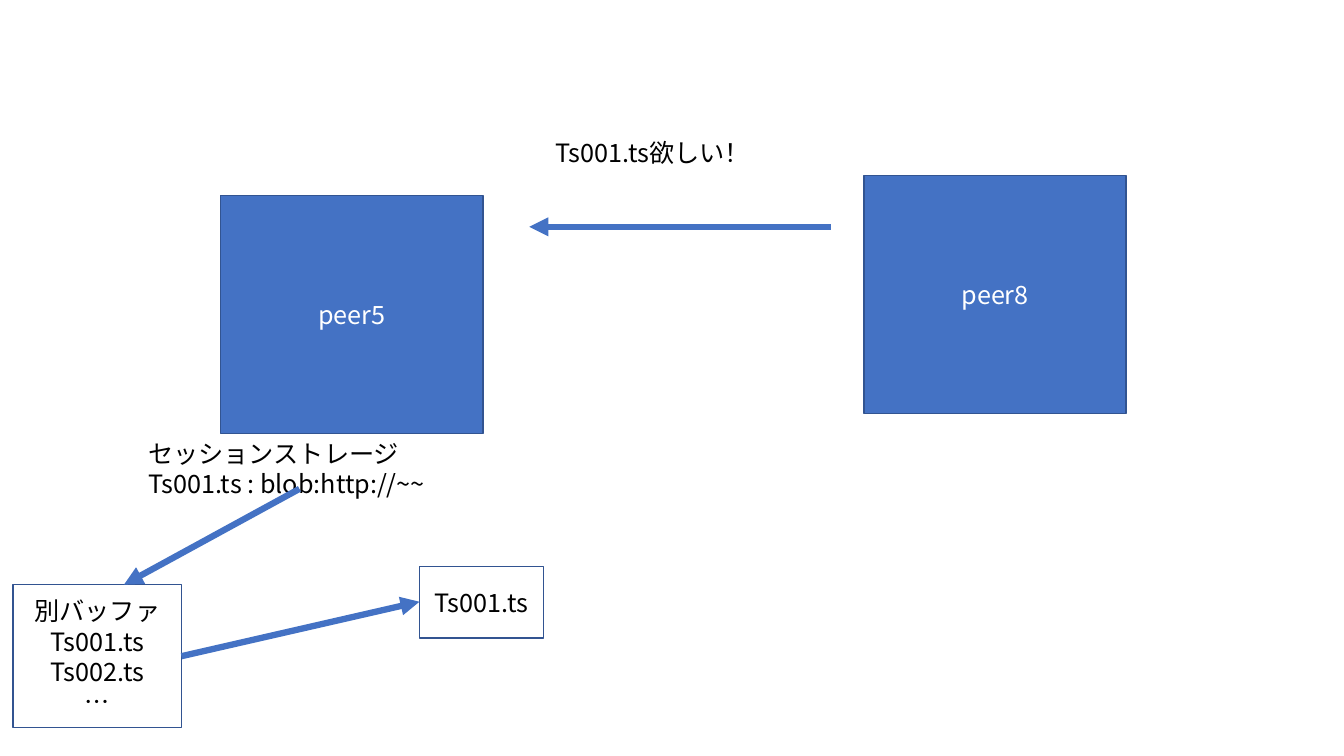
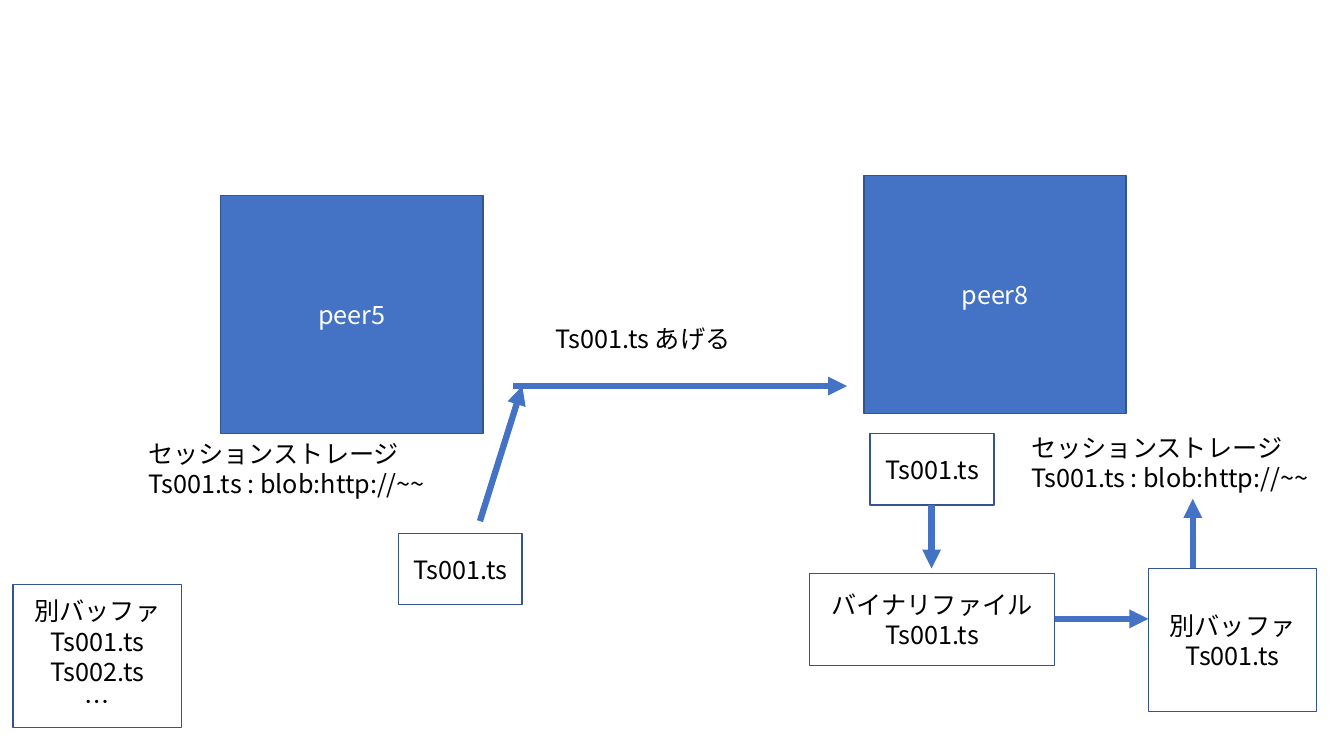
from lxml import etree
from pptx import Presentation
from pptx.dml.color import RGBColor
from pptx.enum import shapes, text
from pptx.oxml import ns
from pptx.util import Inches, Pt

FONT = "Noto Sans CJK JP"
BLUE, OUTLINE, WHITE, BLACK = "4472C4", "325491", "FFFFFF", "000000"
BLANK_LAYOUT = 6

PEER_SIZE = (2.6, 2.36)
BUFFER_SIZE = (1.67, 1.42)
SEGMENT_SIZE = (1.23, 0.71)
BINARY_SIZE = (2.43, 0.91)

SEGMENT = "Ts001.ts"
STORAGE = "セッションストレージ\nTs001.ts : blob:http://~~"
BUFFER = "別バッファ\nTs001.ts"


def color(hex_string):
    return RGBColor.from_string(hex_string)


def write(shape, words, text_color, alignment):
    """Fill a shape with 18 point text, one paragraph per line."""
    frame = shape.text_frame
    frame.word_wrap = True
    frame.text = words
    for paragraph in frame.paragraphs:
        paragraph.alignment = alignment
        for run in paragraph.runs:
            run.font.size = Pt(18)
            run.font.name = FONT
            run.font.color.rgb = color(text_color)
            east_asian = etree.SubElement(run.font._element, ns.qn("a:ea"))
            east_asian.set("typeface", FONT)


def add_box(slide, position, size, words, fill=None, text_color=BLACK):
    """Outlined rectangle with centred text."""
    shape = slide.shapes.add_shape(
        shapes.MSO_SHAPE.RECTANGLE, *map(Inches, position + size))
    shape.shadow.inherit = False
    if fill:
        shape.fill.solid()
        shape.fill.fore_color.rgb = color(fill)
    else:
        shape.fill.background()
    shape.line.color.rgb = color(OUTLINE)
    shape.line.width = Pt(1)
    shape.text_frame.vertical_anchor = text.MSO_ANCHOR.MIDDLE
    write(shape, words, text_color, text.PP_ALIGN.CENTER)


def add_label(slide, position, size, words):
    """Plain text, left aligned."""
    shape = slide.shapes.add_textbox(*map(Inches, position + size))
    write(shape, words, BLACK, text.PP_ALIGN.LEFT)


def add_arrow(slide, start, end):
    """Thick straight arrow pointing at its end."""
    connector = slide.shapes.add_connector(
        shapes.MSO_CONNECTOR.STRAIGHT, *map(Inches, start + end))
    connector.line.color.rgb = color(BLUE)
    connector.line.width = Pt(4.5)
    head = etree.SubElement(connector.line._get_or_add_ln(), ns.qn("a:tailEnd"))
    head.set("type", "triangle")
    etree.SubElement(connector._element.spPr, ns.qn("a:effectLst"))


def add_peer_slide(presentation):
    """Slide with the two peers and the storage and buffer of peer5."""
    slide = presentation.slides.add_slide(
        presentation.slide_layouts[BLANK_LAYOUT])
    for position, name in (((2.19, 1.94), "peer5"), ((8.57, 1.74), "peer8")):
        add_box(slide, position, PEER_SIZE, name, BLUE, WHITE)
    add_label(slide, (1.37, 4.3), (3.88, 0.71), STORAGE)
    add_box(slide, (0.13, 5.8), BUFFER_SIZE, BUFFER + "\nTs002.ts\n…")
    return slide


def add_request_slide(presentation):
    slide = add_peer_slide(presentation)
    # Request from peer8
    add_label(slide, (5.41, 1.31), (2.36, 0.4), "Ts001.ts欲しい！")
    add_arrow(slide, (8.24, 2.25), (5.25, 2.25))
    # Look-up in the buffer of peer5
    add_box(slide, (4.16, 5.62), SEGMENT_SIZE, SEGMENT)
    add_arrow(slide, (2.97, 4.85), (1.23, 5.8))
    add_arrow(slide, (1.8, 6.51), (4.16, 5.97))


def add_response_slide(presentation):
    slide = add_peer_slide(presentation)
    # Segment sent by peer5
    add_label(slide, (5.41, 3.16), (2.36, 0.4), "Ts001.ts あげる")
    add_box(slide, (3.95, 5.29), SEGMENT_SIZE, SEGMENT)
    add_arrow(slide, (4.76, 5.17), (5.18, 3.83))
    add_arrow(slide, (5.09, 3.83), (8.4, 3.83))
    # Segment stored by peer8
    add_box(slide, (8.63, 4.3), SEGMENT_SIZE, SEGMENT)
    add_arrow(slide, (9.24, 5.01), (9.24, 5.64))
    add_box(slide, (8.03, 5.69), BINARY_SIZE, "バイナリファイル\nTs001.ts")
    add_arrow(slide, (10.46, 6.14), (11.39, 6.14))
    add_box(slide, (11.39, 5.64), BUFFER_SIZE, BUFFER)
    add_arrow(slide, (11.83, 5.64), (11.83, 4.95))
    add_label(slide, (10.13, 4.24), (3.2, 0.71), STORAGE)


def main():
    presentation = Presentation()
    presentation.slide_width = Inches(13.33)
    presentation.slide_height = Inches(7.5)
    add_request_slide(presentation)
    add_response_slide(presentation)
    presentation.save("out.pptx")


main()
